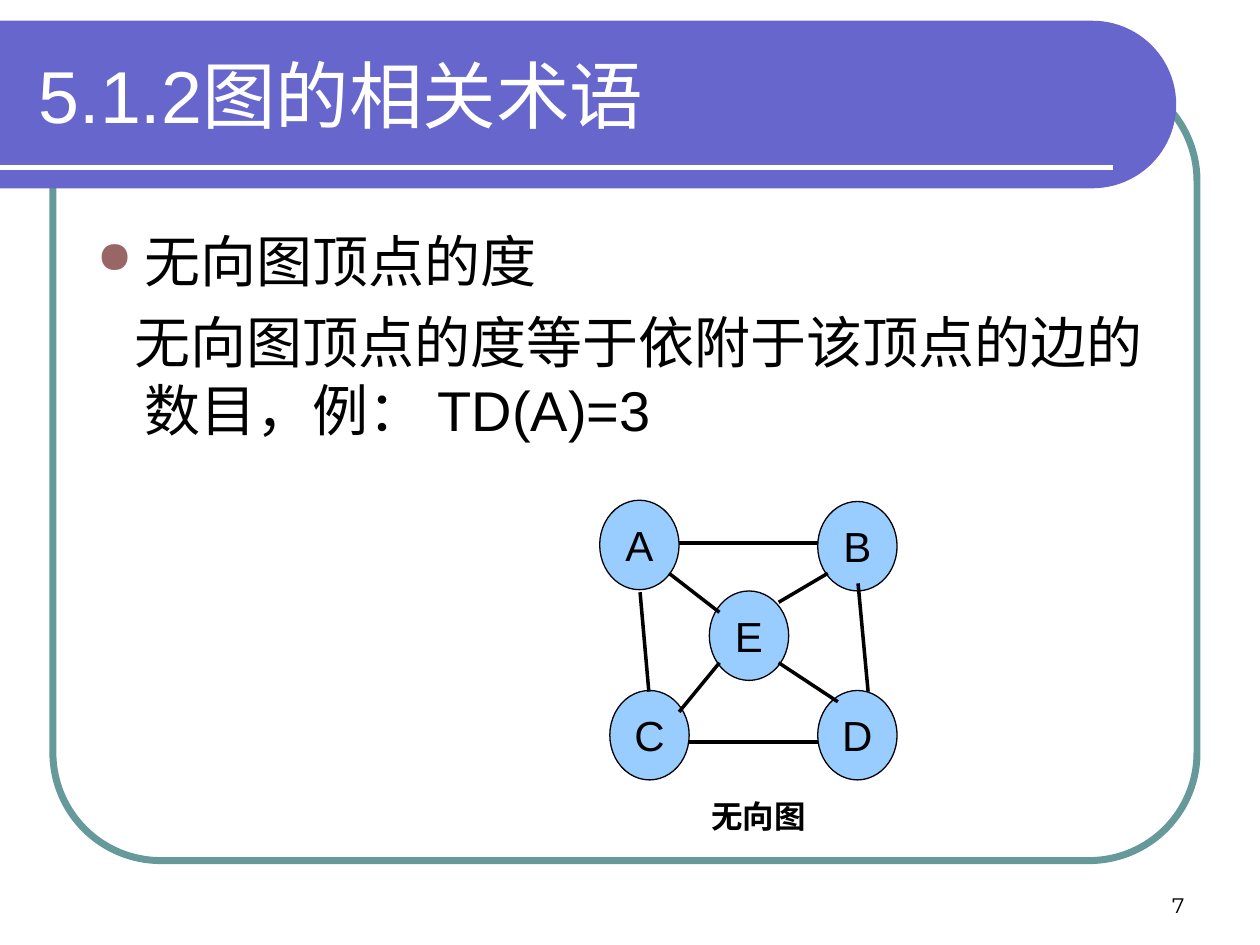
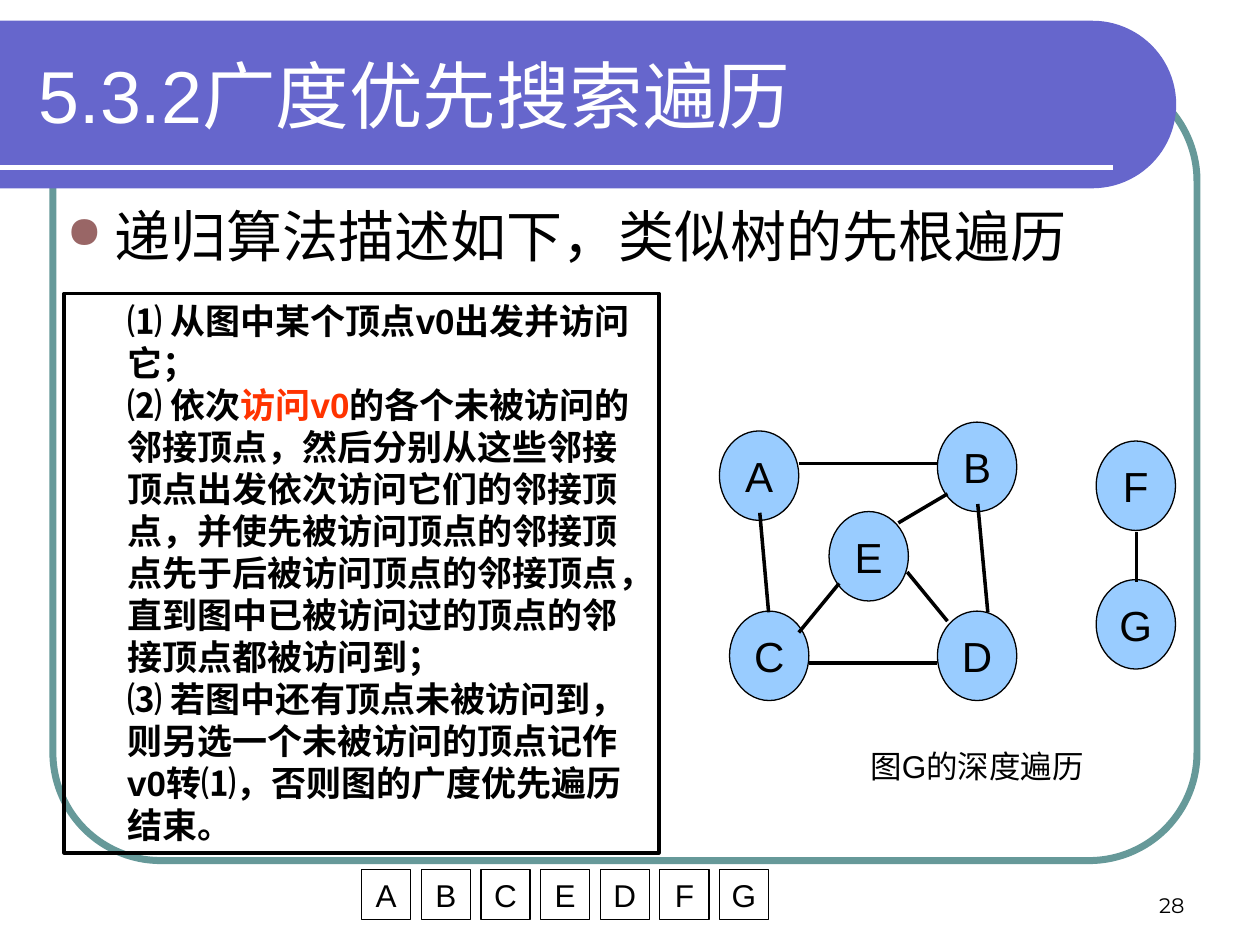
"""Build two slides on graph terms and breadth-first traversal."""
from dataclasses import dataclass
from math import cos, pi, sin

from lxml.etree import SubElement
from pptx import Presentation
from pptx.dml.color import RGBColor
from pptx.enum.shapes import MSO_CONNECTOR, MSO_SHAPE
from pptx.enum.text import MSO_ANCHOR, PP_ALIGN
from pptx.oxml.ns import qn
from pptx.util import Inches, Pt


@dataclass(frozen=True)
class Theme:
    """Colours, fonts and type sizes of the deck."""
    band: str = "6666CC"
    frame: str = "669999"
    bullet: str = "996666"
    vertex: str = "99CCFF"
    accent: str = "FF3300"
    ink: str = "000000"
    paper: str = "FFFFFF"
    font: str = "Arial"
    number_font: str = "Montserrat"
    title_size: int = 42
    body_size: int = 32
    vertex_size: int = 24
    step_size: int = 20
    label_size: int = 18
    number_size: int = 12


THEME = Theme()
VERTEX_SIZE = (0.63, 0.71)
VERTICES = {"B": (1.73, 0), "C": (0.08, 1.5), "D": (1.73, 1.5), "E": (0.87, 0.71)}
EDGES = [
    (0.63, 0.33, 1.73, 0.33),
    (0.32, 0.72, 0.39, 1.51),
    (2.05, 0.65, 2.13, 1.51),
    (0.71, 1.91, 1.73, 1.91),
    (0.63, 1.67, 0.95, 1.28),
    (1.81, 0.57, 1.42, 0.8),
]
STEPS = [
    [("⑴ 从图中某个顶点v0出发并访问它；", THEME.ink)],
    [
        ("⑵ 依次", THEME.ink),
        ("访问v0", THEME.accent),
        ("的各个未被访问的邻接顶点，然后分别从这些邻接顶点出发依次访问它们的邻接顶点，"
         "并使先被访问顶点的邻接顶点先于后被访问顶点的邻接顶点，"
         "直到图中已被访问过的顶点的邻接顶点都被访问到；", THEME.ink),
    ],
    [("⑶ 若图中还有顶点未被访问到，则另选一个未被访问的顶点记作v0转⑴，"
      "否则图的广度优先遍历结束。", THEME.ink)],
]


def apply(target, values):
    """Set each named attribute on the target."""
    for name, value in values.items():
        setattr(target, name, value)


def rgb(colour):
    """Turn a hex string into a colour."""
    return RGBColor.from_string(colour)


def paint(shape, fill=None, line=None, width=0.75):
    """Give a shape its fill and outline without a shadow."""
    shape.shadow.inherit = False
    if fill:
        shape.fill.solid()
        shape.fill.fore_color.rgb = rgb(fill)
    else:
        shape.fill.background()
    if line:
        shape.line.color.rgb = rgb(line)
        shape.line.width = Pt(width)
    else:
        shape.line.fill.background()


def add_line(slide, start, end, colour, width):
    """Draw a straight line between two points."""
    line = slide.shapes.add_connector(
        MSO_CONNECTOR.STRAIGHT, *map(Inches, (*start, *end)))
    line.line.color.rgb = rgb(colour)
    line.line.width = Pt(width)
    SubElement(line._element.spPr, qn("a:effectLst"))


def add_preset(slide, kind, place, **look):
    """Add a painted preset shape."""
    shape = slide.shapes.add_shape(kind, *map(Inches, place))
    paint(shape, **look)
    return shape


def add_box(slide, place):
    """Add an empty text box."""
    return slide.shapes.add_textbox(*map(Inches, place))


def set_frame(shape, anchor=MSO_ANCHOR.TOP, wrap=True, left=0.1):
    """Set anchor, wrapping and insets of the text in a shape."""
    apply(shape.text_frame, {
        "vertical_anchor": anchor, "word_wrap": wrap,
        "margin_left": Inches(left), "margin_right": Inches(0.1),
        "margin_top": Inches(0.05), "margin_bottom": Inches(0.05),
    })


def set_indent(paragraph, margin, first):
    """Set left margin and first-line indent."""
    properties = paragraph._p.get_or_add_pPr()
    properties.set("marL", str(Inches(margin)))
    properties.set("indent", str(Inches(first)))
    return properties


def set_bullet(paragraph):
    """Hang the paragraph on a round bullet."""
    properties = set_indent(paragraph, 0.38, -0.38)
    colour = SubElement(properties, qn("a:buClr"))
    SubElement(colour, qn("a:srgbClr"), val=THEME.bullet)
    SubElement(properties, qn("a:buSzPct"), val="80000")
    SubElement(properties, qn("a:buChar"), char="●")


def add_run(paragraph, text, size, colour=THEME.ink, name=THEME.font, bold=False):
    """Append formatted text to a paragraph."""
    run = paragraph.add_run()
    run.text = text
    apply(run.font, {"size": Pt(size), "name": name, "bold": bold})
    run.font.color.rgb = rgb(colour)


def write_line(shape, text, size, align=PP_ALIGN.CENTER, **style):
    """Write one aligned line in a shape."""
    paragraph = shape.text_frame.paragraphs[0]
    paragraph.alignment = align
    add_run(paragraph, text, size, **style)


def add_band(slide):
    """Draw the title band with its round right end."""
    centre_x, centre_y, radius = 8.67, 0.83, 0.665
    angles = [pi * step / 48 - pi / 2 for step in range(49)]
    arc = [(Inches(centre_x + radius * cos(a)), Inches(centre_y + radius * sin(a)))
           for a in angles]
    top, bottom = arc[0][1], arc[-1][1]
    outline = slide.shapes.build_freeform(0, top)
    outline.add_line_segments([*arc, (0, bottom)], close=True)
    paint(outline.convert_to_shape(), fill=THEME.band)


def add_base(prs, title, number):
    """Add a slide with frame, band, title and page number."""
    slide = prs.slides.add_slide(prs.slide_layouts[6])
    frame = add_preset(slide, MSO_SHAPE.ROUNDED_RECTANGLE, (0.42, 0.58, 9.08, 6.25),
                       line=THEME.frame, width=4)
    frame.adjustments[0] = 0.137
    add_band(slide)
    add_line(slide, (0, 1.33), (8.83, 1.33), THEME.paper, 3)
    heading = add_box(slide, (0.21, 0.25, 8.77, 1))
    set_frame(heading, MSO_ANCHOR.MIDDLE)
    write_line(heading, title, THEME.title_size, PP_ALIGN.LEFT, colour=THEME.paper)
    page = add_box(slide, (7.17, 6.83, 2.33, 0.5))
    set_frame(page, MSO_ANCHOR.BOTTOM)
    write_line(page, str(number), THEME.number_size, PP_ALIGN.RIGHT,
               name=THEME.number_font)
    return slide


def add_body(slide, place, point, detail=None):
    """Add a bulleted point and an optional explanation."""
    body = add_box(slide, place)
    set_frame(body)
    paragraph = body.text_frame.paragraphs[0]
    set_bullet(paragraph)
    add_run(paragraph, point, THEME.body_size)
    if detail:
        paragraph = body.text_frame.add_paragraph()
        set_indent(paragraph, 0.38, -0.08)
        paragraph.space_before = Pt(8)
        add_run(paragraph, detail, THEME.body_size)


def add_graph(slide, origin, own_vertices, own_edges):
    """Draw the shared graph plus the vertices and edges of one slide."""
    left, top = origin
    for letter, (x, y) in {**VERTICES, **own_vertices}.items():
        vertex = add_preset(slide, MSO_SHAPE.OVAL, (left + x, top + y, *VERTEX_SIZE),
                            fill=THEME.vertex, line=THEME.ink)
        set_frame(vertex, MSO_ANCHOR.MIDDLE, wrap=False)
        write_line(vertex, letter, THEME.vertex_size)
    for x1, y1, x2, y2 in EDGES + own_edges:
        add_line(slide, (left + x1, top + y1), (left + x2, top + y2), THEME.ink, 2)


def add_caption(slide, place, text, bold=False):
    """Add a centred caption."""
    caption = add_box(slide, place)
    set_frame(caption)
    write_line(caption, text, THEME.label_size, bold=bold)


def add_steps(slide, place):
    """Add the outlined box with the steps of the algorithm."""
    box = add_preset(slide, MSO_SHAPE.RECTANGLE, place, line=THEME.ink, width=2)
    set_frame(box, left=0)
    for index, step in enumerate(STEPS):
        text = box.text_frame
        paragraph = text.add_paragraph() if index else text.paragraphs[0]
        set_indent(paragraph, 0.5, 0)
        paragraph.alignment = PP_ALIGN.LEFT
        for words, colour in step:
            add_run(paragraph, words, THEME.step_size, colour, bold=True)


def add_visit_order(slide, letters):
    """Add a row of cells with the order of visits."""
    for index, letter in enumerate(letters):
        cell = add_preset(slide, MSO_SHAPE.RECTANGLE,
                          (2.87 + index * 2.84 / 6, 6.9, 0.39, 0.4), line=THEME.ink)
        set_frame(cell, wrap=False)
        write_line(cell, letter, THEME.label_size)


def main():
    """Build and save the deck."""
    prs = Presentation()
    apply(prs, {"slide_width": Inches(10), "slide_height": Inches(7.5)})

    degree = add_base(prs, "5.1.2图的相关术语", 7)
    add_body(degree, (0.67, 1.75, 8.67, 4.83), "无向图顶点的度",
             "无向图顶点的度等于依附于该顶点的边的数目，例： TD(A)=3")
    add_graph(degree, (4.76, 3.98), {"A": (0, -0.01)},
              [(0.55, 0.57, 0.95, 0.88), (1.42, 1.28, 1.89, 1.59)])
    add_caption(degree, (5.47, 6.28, 1.1, 0.4), "无向图", bold=True)

    traversal = add_base(prs, "5.3.2广度优先搜索遍历", 28)
    add_body(traversal, (0.43, 1.55, 8.67, 1.34), "递归算法描述如下，类似树的先根遍历")
    add_graph(traversal, (5.71, 3.35),
              {"A": (0, 0.07), "F": (2.99, 0.15), "G": (2.99, 1.25)},
              [(1.49, 1.19, 1.81, 1.58), (3.31, 0.87, 3.31, 1.27)])
    add_steps(traversal, (0.51, 2.33, 4.72, 4.44))
    add_caption(traversal, (6.73, 5.88, 2.05, 0.4), "图G的深度遍历")
    add_visit_order(traversal, "ABCEDFG")

    prs.save("out.pptx")


if __name__ == "__main__":
    main()
